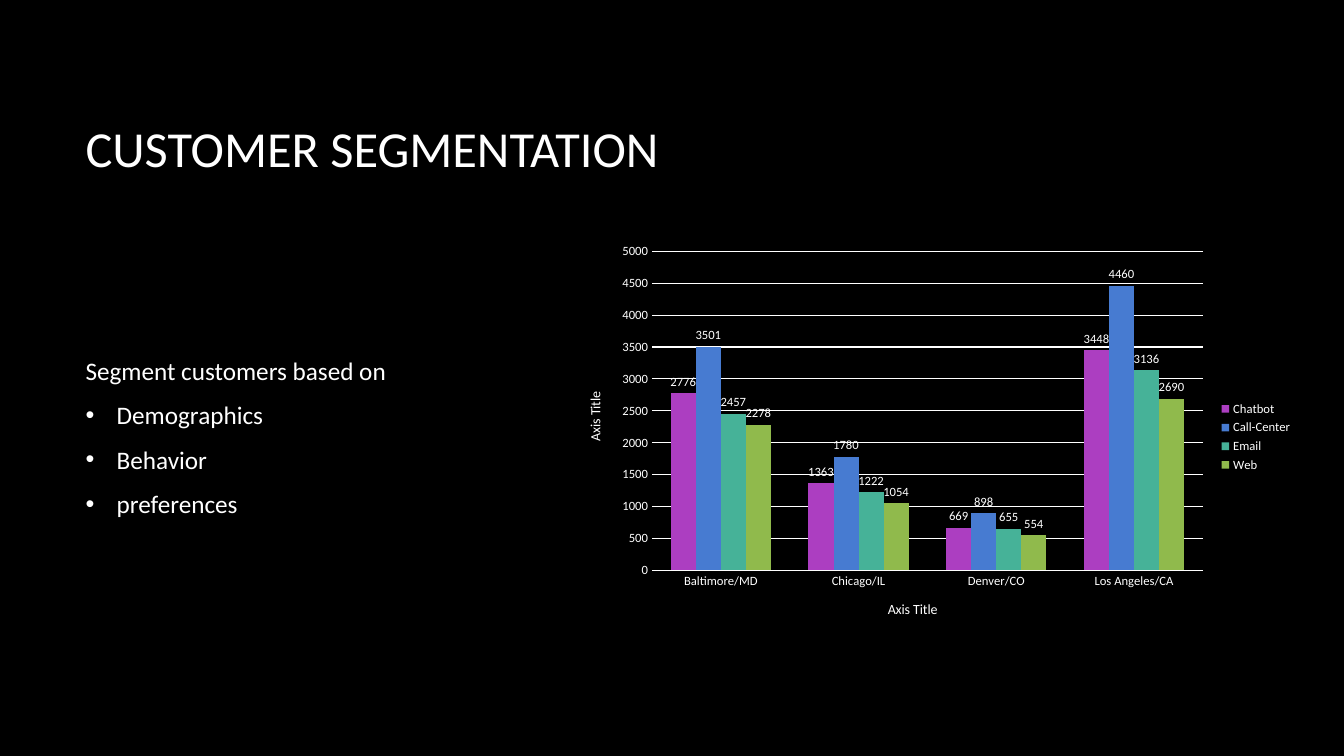
from dataclasses import dataclass

from lxml import etree
from pptx import Presentation
from pptx.chart.data import CategoryChartData
from pptx.dml.color import RGBColor
from pptx.enum.chart import XL_CHART_TYPE, XL_LABEL_POSITION, XL_LEGEND_POSITION, XL_TICK_MARK
from pptx.enum.text import MSO_ANCHOR
from pptx.oxml.ns import qn
from pptx.util import Inches, Pt

CLUSTERED = XL_CHART_TYPE.COLUMN_CLUSTERED
OUTSIDE_END = XL_LABEL_POSITION.OUTSIDE_END
LEGEND_RIGHT = XL_LEGEND_POSITION.RIGHT
NO_TICK = XL_TICK_MARK.NONE
MIDDLE = MSO_ANCHOR.MIDDLE

FONT = "Calibri"
COLORS = {
    "background": "000000",
    "text": "FFFFFF",
    "chatbot": "AC3EC1",
    "call_center": "477BD1",
    "email": "46B298",
    "web": "90BA4C",
}
CITIES = ["Baltimore/MD", "Chicago/IL", "Denver/CO", "Los Angeles/CA"]
BULLET_INDENT = Inches(0.31)


@dataclass
class Line:
    text: str
    size: float
    space_after: float = 0
    bulleted: bool = False


@dataclass
class TextBlock:
    left: float
    top: float
    width: float
    height: float
    lines: list[Line]


@dataclass
class Channel:
    name: str
    values: list[int]
    color: str


TEXT_BLOCKS = [
    TextBlock(0.75, 0.67, 11.08, 1.59, [Line("CUSTOMER SEGMENTATION", 36)]),
    TextBlock(0.75, 2.34, 4.74, 3.99, [
        Line("Segment customers based on", 18, 10),
        Line("Demographics", 18, 10, True),
        Line("Behavior", 18, 10, True),
        Line("preferences", 18, 10, True),
    ]),
]
CHANNELS = [
    Channel("Chatbot", [2776, 1363, 669, 3448], "chatbot"),
    Channel("Call-Center", [3501, 1780, 898, 4460], "call_center"),
    Channel("Email", [2457, 1222, 655, 3136], "email"),
    Channel("Web", [2278, 1054, 554, 2690], "web"),
]


def color(name: str) -> RGBColor:
    return RGBColor.from_string(COLORS[name])


def style_font(font, size: float) -> None:
    font.name = FONT
    font.size = Pt(size)
    font.bold = False
    font.color.rgb = color("text")


def add_bullet(paragraph) -> None:
    properties = paragraph._p.get_or_add_pPr()
    properties.set("marL", str(BULLET_INDENT))
    properties.set("indent", str(-BULLET_INDENT))
    bullet_color = etree.SubElement(properties, qn("a:buClr"))
    etree.SubElement(bullet_color, qn("a:srgbClr"), val=COLORS["text"])
    etree.SubElement(properties, qn("a:buFont"), typeface="Arial")
    etree.SubElement(properties, qn("a:buChar"), char="•")


def add_text_block(slide, block: TextBlock) -> None:
    shape = slide.shapes.add_textbox(
        Inches(block.left), Inches(block.top), Inches(block.width), Inches(block.height))
    text_frame = shape.text_frame
    text_frame.word_wrap = True
    text_frame.vertical_anchor = MIDDLE
    text_frame.text = "\n".join(line.text for line in block.lines)
    for paragraph, line in zip(text_frame.paragraphs, block.lines):
        paragraph.space_after = Pt(line.space_after)
        style_font(paragraph.runs[0].font, line.size)
        if line.bulleted:
            add_bullet(paragraph)


def style_axis(axis) -> None:
    axis.major_tick_mark = NO_TICK
    axis.minor_tick_mark = NO_TICK
    axis.format.line.fill.background()
    style_font(axis.tick_labels.font, 9)
    text_frame = axis.axis_title.text_frame
    text_frame.text = "Axis Title"
    style_font(text_frame.paragraphs[0].runs[0].font, 10)


def add_segment_chart(slide) -> None:
    data = CategoryChartData()
    data.categories = CITIES
    for channel in CHANNELS:
        data.add_series(channel.name, channel.values)
    chart = slide.shapes.add_chart(
        CLUSTERED, Inches(5.61), Inches(2.34), Inches(7.31), Inches(3.99), data).chart
    style_font(chart.font, 10)
    chart.has_title = False
    chart.has_legend = True
    chart.legend.position = LEGEND_RIGHT
    chart.legend.include_in_layout = False
    style_font(chart.legend.font, 9)

    style_axis(chart.category_axis)
    value_axis = chart.value_axis
    style_axis(value_axis)
    value_axis.minimum_scale = 0
    value_axis.maximum_scale = 5000
    value_axis.major_unit = 500
    value_axis.has_major_gridlines = True
    gridline = value_axis.major_gridlines.format.line
    gridline.color.rgb = color("text")
    gridline.width = Pt(0.75)

    plot = chart.plots[0]
    plot.vary_by_categories = False
    plot.gap_width = 150
    plot.overlap = 0
    for series, channel in zip(plot.series, CHANNELS):
        series.format.fill.solid()
        series.format.fill.fore_color.rgb = color(channel.color)
        labels = series.data_labels
        labels.show_value = True
        labels.position = OUTSIDE_END
        style_font(labels.font, 9)


def main() -> None:
    presentation = Presentation()
    presentation.slide_width = Inches(13.33)
    presentation.slide_height = Inches(7.5)
    slide = presentation.slides.add_slide(presentation.slide_layouts[6])
    slide.background.fill.solid()
    slide.background.fill.fore_color.rgb = color("background")
    for block in TEXT_BLOCKS:
        add_text_block(slide, block)
    add_segment_chart(slide)
    presentation.save("out.pptx")


if __name__ == "__main__":
    main()
